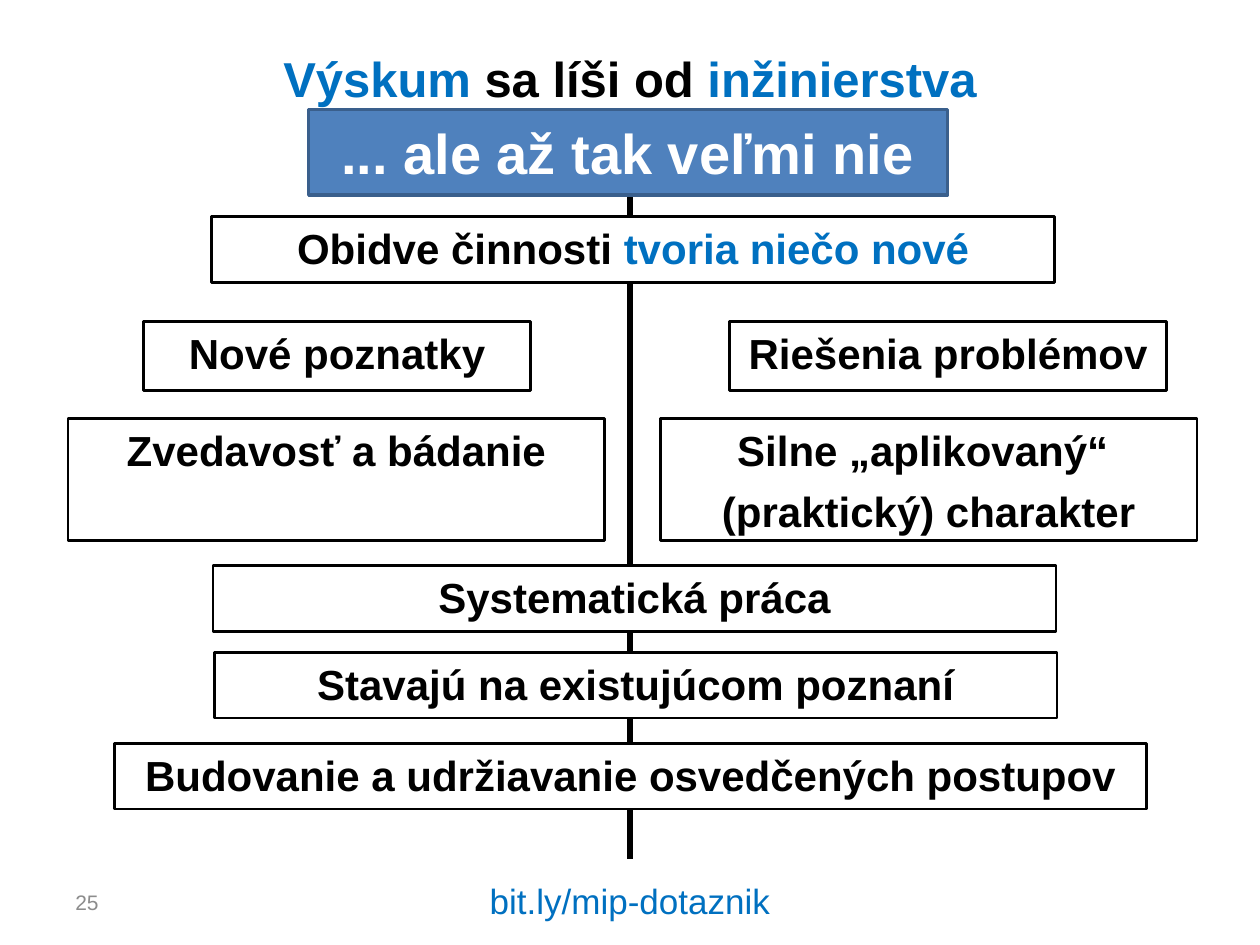
from lxml.etree import SubElement
from pptx import Presentation
from pptx.dml.color import RGBColor
from pptx.enum.shapes import MSO_CONNECTOR, MSO_SHAPE
from pptx.enum.text import MSO_ANCHOR, PP_ALIGN
from pptx.oxml.ns import qn
from pptx.util import Inches, Pt

BLACK = RGBColor(0x00, 0x00, 0x00)
WHITE = RGBColor(0xFF, 0xFF, 0xFF)
BLUE = RGBColor(0x00, 0x70, 0xC0)
GRAY = RGBColor(0x8C, 0x8C, 0x8C)
BANNER_FILL = RGBColor(0x4F, 0x81, 0xBD)
BANNER_LINE = RGBColor(0x3A, 0x5F, 0x8C)

# A text is a list of paragraphs, a paragraph a list of (words, colour) runs.
TITLE = [[("Výskum ", BLUE), ("sa líši od ", BLACK), ("inžinierstva", BLUE)]]
BANNER = [[("... ale až tak veľmi nie", WHITE)]]
NUMBER = [[("25", GRAY)]]
LINK = [[("bit.ly/mip-dotaznik", BLUE)]]

SHARED_WIDTH, SHARED_HEIGHT = 6.69, 0.52
SIDE_WIDTH, SIDE_HEIGHT = 4.26, 0.97
STATEMENTS = [  # left, top, width, height, text
    (1.68, 1.72, SHARED_WIDTH, SHARED_HEIGHT,
     [[("Obidve činnosti ", BLACK), ("tvoria niečo nové", BLUE)]]),
    (1.14, 2.55, 3.07, 0.55, [[("Nové poznatky", BLACK)]]),
    (5.79, 2.55, 3.47, 0.55, [[("Riešenia problémov", BLACK)]]),
    (1.69, 4.49, SHARED_WIDTH, SHARED_HEIGHT, [[("Systematická práca", BLACK)]]),
    (1.7, 5.18, SHARED_WIDTH, SHARED_HEIGHT,
     [[("Stavajú na existujúcom poznaní", BLACK)]]),
    (5.24, 3.32, SIDE_WIDTH, SIDE_HEIGHT,
     [[("Silne „aplikovaný“ ", BLACK)], [("(praktický) charakter", BLACK)]]),
    (0.54, 3.32, SIDE_WIDTH, SIDE_HEIGHT, [[("Zvedavosť a bádanie", BLACK)]]),
    (0.91, 5.9, 8.19, SHARED_HEIGHT,
     [[("Budovanie a udržiavanie osvedčených postupov", BLACK)]]),
]


def write(shape, text, size, bold=True, align=PP_ALIGN.CENTER, anchor=MSO_ANCHOR.MIDDLE):
    frame = shape.text_frame
    frame.word_wrap = True
    frame.vertical_anchor = anchor
    for index, runs in enumerate(text):
        paragraph = frame.add_paragraph() if index else frame.paragraphs[0]
        paragraph.alignment = align
        paragraph.space_before = Pt(6 if index else 0)
        for words, color in runs:
            run = paragraph.add_run()
            run.text = words
            run.font.name = "Arial"
            run.font.size = Pt(size)
            run.font.bold = bold
            run.font.color.rgb = color


def add_box(slide, left, top, width, height, fill, line, line_width):
    box = slide.shapes.add_shape(MSO_SHAPE.RECTANGLE, Inches(left), Inches(top),
                                 Inches(width), Inches(height))
    box.shadow.inherit = False
    box.fill.solid()
    box.fill.fore_color.rgb = fill
    box.line.color.rgb = line
    box.line.width = Pt(line_width)
    return box


def add_divider(slide, x, top, bottom):
    divider = slide.shapes.add_connector(MSO_CONNECTOR.STRAIGHT, Inches(x), Inches(top),
                                         Inches(x), Inches(bottom))
    divider.line.color.rgb = BLACK
    divider.line.width = Pt(3.75)
    SubElement(divider._element.spPr, qn("a:effectLst"))


def main():
    presentation = Presentation()
    presentation.slide_width, presentation.slide_height = Inches(10), Inches(7.5)
    slide = presentation.slides.add_slide(presentation.slide_layouts[5])

    title = slide.shapes.title
    title.left, title.top = Inches(0.5), Inches(0.3)
    title.width, title.height = Inches(9), Inches(0.63)
    write(title, TITLE, 28)

    number = slide.shapes.add_textbox(Inches(0.5), Inches(6.96), Inches(2.33), Inches(0.4))
    write(number, NUMBER, 12, bold=False, align=PP_ALIGN.LEFT)
    link = slide.shapes.add_textbox(Inches(3.31), Inches(6.95), Inches(3.38), Inches(0.4))
    write(link, LINK, 20, bold=False)

    add_divider(slide, 5, 1.31, 6.82)
    for left, top, width, height, text in STATEMENTS:
        box = add_box(slide, left, top, width, height, WHITE, BLACK, 1.5)
        write(box, text, 24, anchor=MSO_ANCHOR.TOP)
    banner = add_box(slide, 2.45, 0.87, 5.07, 0.68, BANNER_FILL, BANNER_LINE, 2)
    write(banner, BANNER, 32)

    presentation.save("out.pptx")


if __name__ == "__main__":
    main()
